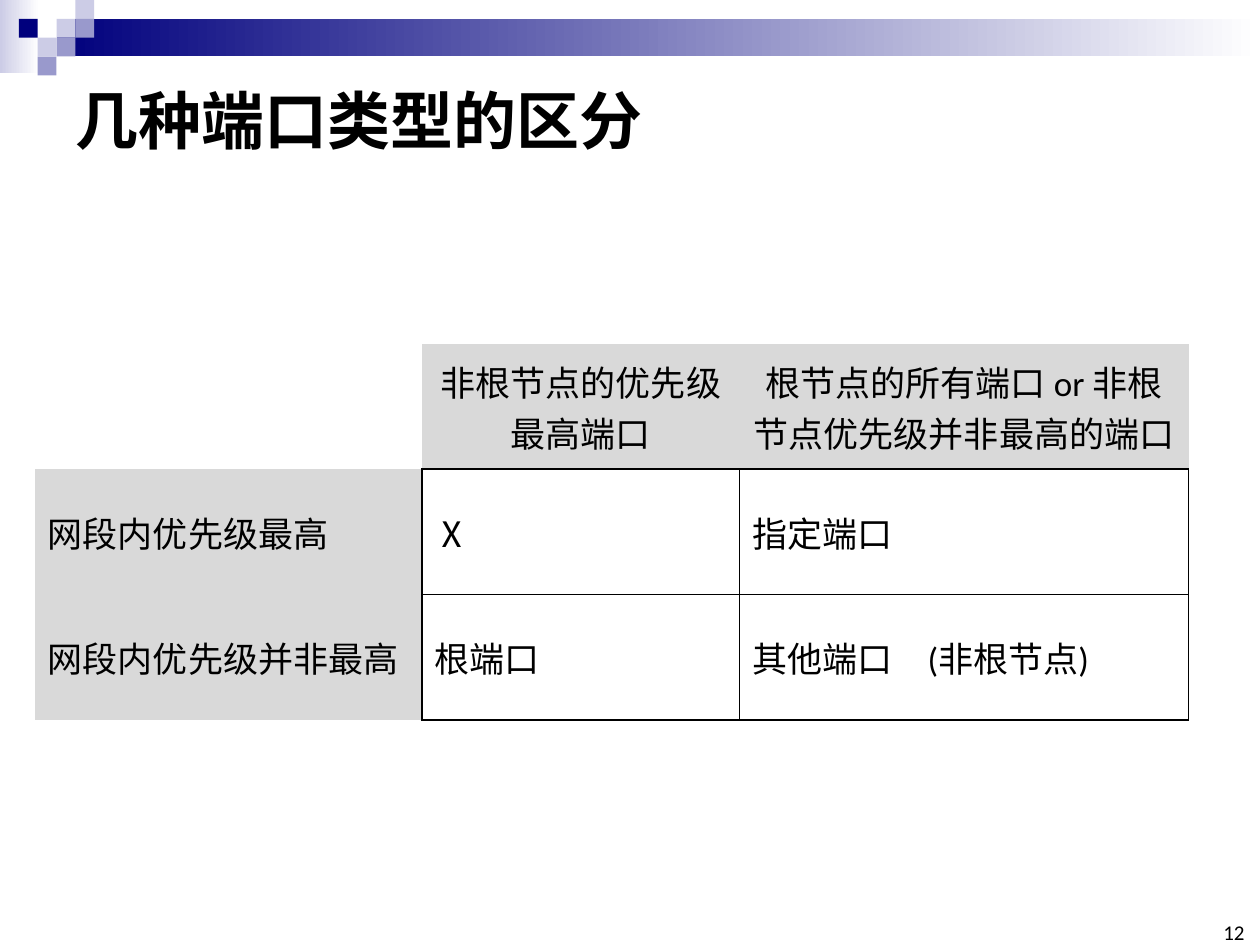
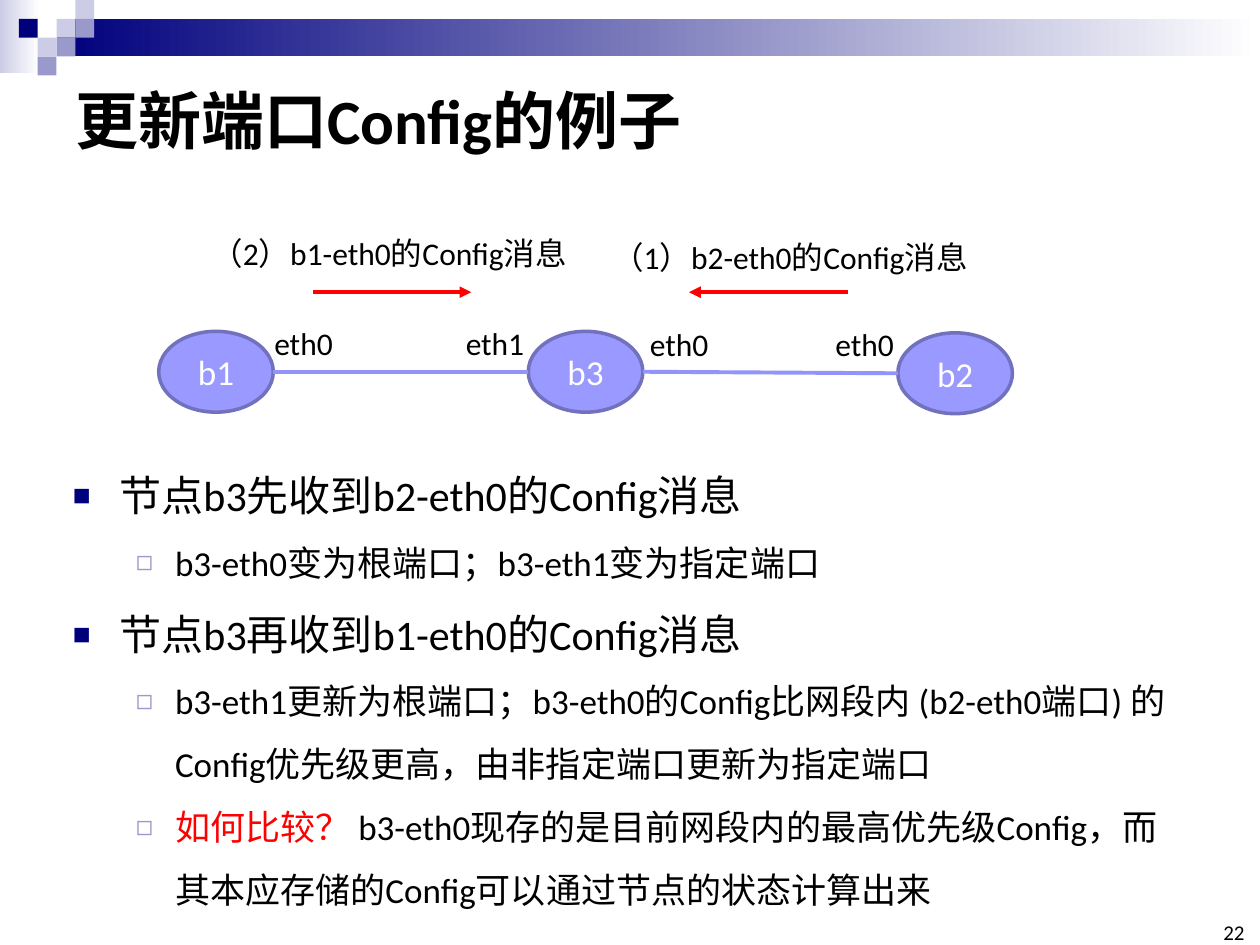
from dataclasses import dataclass
from itertools import pairwise
from typing import NamedTuple

from lxml.etree import SubElement
from pptx import Presentation
from pptx.dml.color import RGBColor
from pptx.enum.shapes import MSO_CONNECTOR, MSO_SHAPE
from pptx.enum.text import MSO_ANCHOR, PP_ALIGN
from pptx.oxml import parse_xml
from pptx.oxml.ns import nsdecls, qn
from pptx.util import Cm, Pt


@dataclass(frozen=True)
class Theme:
    font: str = "Calibri"
    east_asian_font: str = "Noto Sans CJK SC"
    black: str = "000000"
    white: str = "FFFFFF"
    red: str = "FF0000"
    navy: str = "00007D"
    lilac: str = "9999CC"
    pale: str = "CCCCE6"
    grey: str = "D9D9D9"
    node: str = "9999FF"
    node_edge: str = "7171BD"
    link: str = "9393FC"
    title: int = 36
    heading: int = 24
    text: int = 20
    label: int = 18
    footer: int = 12


THEME = Theme()


class Area(NamedTuple):
    left: float
    top: float
    width: float
    height: float

    def lengths(self) -> tuple:
        return tuple(Cm(value) for value in self)


class Span(NamedTuple):
    text: str
    color: str = THEME.black


class Bullet(NamedTuple):
    level: int
    spans: list


class BulletStyle(NamedTuple):
    mark: str
    color: str
    scale: int
    margin: float
    hanging: float
    size: int


class Node(NamedTuple):
    name: str
    area: Area


class Label(NamedTuple):
    text: str
    left: float
    top: float
    width: float


class Line(NamedTuple):
    start: tuple
    end: tuple
    color: str
    arrow: bool = False


BAND_UNIT = 0.38
BAND_SQUARES = [
    (3, 1, THEME.pale), (4, 0, THEME.pale), (4, 1, THEME.lilac),
    (2, 2, THEME.pale), (1, 1, THEME.navy), (3, 2, THEME.lilac),
    (2, 3, THEME.lilac),
]
BAND_FADES = [
    (Area(0, 0, 0.79, 1.47), THEME.pale),
    (Area(1.14, 0.38, 24.26, 0.76), THEME.navy),
]

PORT_TABLE = [
    ["", "非根节点的优先级最高端口", "根节点的所有端口 or 非根节点优先级并非最高的端口"],
    ["网段内优先级最高", "Ⅹ", "指定端口"],
    ["网段内优先级并非最高", "根端口", "其他端口　(非根节点)"],
]
COLUMN_WIDTHS = [7.8, 6.4, 9.05]
ROW_HEIGHT = 2.53

BULLET_STYLES = [
    BulletStyle("■", THEME.navy, 45, 0.94, 0.94, THEME.heading),
    BulletStyle("◻", THEME.lilac, 80, 2.06, 0.79, THEME.text),
]
BULLETS = [
    Bullet(0, [Span("节点b3先收到b2-eth0的Config消息")]),
    Bullet(1, [Span("b3-eth0变为根端口；b3-eth1变为指定端口")]),
    Bullet(0, [Span("节点b3再收到b1-eth0的Config消息")]),
    Bullet(1, [Span("b3-eth1更新为根端口；b3-eth0的Config比网段内 (b2-eth0端口) "
                    "的Config优先级更高，由非指定端口更新为指定端口")]),
    Bullet(1, [Span("如何比较？ ", THEME.red),
               Span("b3-eth0现存的是目前网段内的最高优先级Config，"
                    "而其本应存储的Config可以通过节点的状态计算出来")]),
]

NODE_STEP = 7.45
NODES = [
    Node(name, Area(3.2 + index * NODE_STEP, top, 2.31, 1.63))
    for index, (name, top) in enumerate([("b1", 6.68), ("b3", 6.68), ("b2", 6.71)])
]
LABELS = [
    Label("eth0", 5.28, 6.4, 1.7),
    Label("eth1", 9.14, 6.4, 1.7),
    Label("eth0", 12.85, 6.43, 1.7),
    Label("eth0", 16.59, 6.43, 1.7),
    Label("（1）b2-eth0的Config消息", 12.09, 4.67, 7.75),
    Label("（2）b1-eth0的Config消息", 4.01, 4.6, 7.75),
]
ARROWS = [
    Line((17.09, 5.89), (13.89, 5.89), THEME.red, True),
    Line((6.3, 5.89), (9.5, 5.89), THEME.red, True),
]


def rgb(color: str) -> RGBColor:
    return RGBColor.from_string(color)


def add_span(para, span: Span, size: int, bold: bool = False,
             font: str = THEME.font, east_asian: str = THEME.font) -> None:
    run = para.add_run()
    run.text = span.text
    run.font.name = font
    run.font.size = Pt(size)
    run.font.bold = bold
    run.font.color.rgb = rgb(span.color)
    SubElement(run.font._element, qn("a:ea")).set("typeface", east_asian)


def add_box(page, area: Area, anchor=MSO_ANCHOR.TOP):
    frame = page.shapes.add_textbox(*area.lengths()).text_frame
    frame.word_wrap = True
    frame.vertical_anchor = anchor
    return frame


def add_plain_shape(page, kind, area: Area):
    shape = page.shapes.add_shape(kind, *area.lengths())
    shape.shadow.inherit = False
    shape.line.fill.background()
    return shape


def add_band(page) -> None:
    for area, color in BAND_FADES:
        fill = add_plain_shape(page, MSO_SHAPE.RECTANGLE, area).fill
        fill.gradient()
        fill.gradient_angle = 0
        for stop, stop_color in zip(fill.gradient_stops, (color, THEME.white)):
            stop.color.rgb = rgb(stop_color)
    for column, row, color in BAND_SQUARES:
        area = Area(column * BAND_UNIT, row * BAND_UNIT, BAND_UNIT, BAND_UNIT)
        fill = add_plain_shape(page, MSO_SHAPE.RECTANGLE, area).fill
        fill.solid()
        fill.fore_color.rgb = rgb(color)


def add_page(deck, title: str, number: int):
    page = deck.slides.add_slide(deck.slide_layouts[6])
    add_band(page)
    frame = add_box(page, Area(1.27, 1.27, 22.86, 2.26), MSO_ANCHOR.MIDDLE)
    add_span(frame.paragraphs[0], Span(title), THEME.title, bold=True)
    footer = add_box(page, Area(24.51, 18.62, 0.58, 0.43), MSO_ANCHOR.BOTTOM)
    footer.margin_left = footer.margin_right = 0
    footer.margin_top = footer.margin_bottom = 0
    footer.paragraphs[0].alignment = PP_ALIGN.RIGHT
    add_span(footer.paragraphs[0], Span(str(number)), THEME.footer)
    return page


def set_borders(cell, sides: str) -> None:
    properties = cell._tc.get_or_add_tcPr()
    for index, side in enumerate(sides):
        properties.insert(index, parse_xml(
            f'<a:ln{side} {nsdecls("a")} w="12700"><a:solidFill>'
            f'<a:srgbClr val="{THEME.black}"/></a:solidFill></a:ln{side}>'))


def add_port_table(page) -> None:
    area = Area(0.71, 6.93, sum(COLUMN_WIDTHS), ROW_HEIGHT * len(PORT_TABLE))
    table = page.shapes.add_table(
        len(PORT_TABLE), len(COLUMN_WIDTHS), *area.lengths()).table
    table.first_row = table.horz_banding = False
    style = table._tbl.tblPr.find(qn("a:tableStyleId"))
    style.text = "{2D5ABB26-0587-4C30-8999-92F81FD0307C}"
    for column, width in zip(table.columns, COLUMN_WIDTHS):
        column.width = Cm(width)
    for row_index, row in enumerate(PORT_TABLE):
        table.rows[row_index].height = Cm(ROW_HEIGHT)
        for column_index, text in enumerate(row):
            cell = table.cell(row_index, column_index)
            if not text:
                cell.fill.background()
                continue
            is_top, is_side = row_index == 0, column_index == 0
            cell.vertical_anchor = MSO_ANCHOR.MIDDLE
            cell.fill.solid()
            cell.fill.fore_color.rgb = rgb(
                THEME.grey if is_top or is_side else THEME.white)
            set_borders(cell, "B" if is_top else "R" if is_side else "LRTB")
            para = cell.text_frame.paragraphs[0]
            para.alignment = PP_ALIGN.CENTER if is_top else PP_ALIGN.LEFT
            font = THEME.east_asian_font if text == "Ⅹ" else THEME.font
            add_span(para, Span(text), THEME.text, font=font,
                     east_asian=THEME.east_asian_font)


def add_bullets(page) -> None:
    frame = add_box(page, Area(1.22, 8.84, 22.86, 9.78))
    for index, bullet in enumerate(BULLETS):
        para = frame.add_paragraph() if index else frame.paragraphs[0]
        style = BULLET_STYLES[bullet.level]
        para.level = bullet.level
        para.line_spacing = 1.5
        properties = para._p.get_or_add_pPr()
        properties.set("marL", str(Cm(style.margin)))
        properties.set("indent", str(-Cm(style.hanging)))
        color = SubElement(properties, qn("a:buClr"))
        SubElement(color, qn("a:srgbClr")).set("val", style.color)
        SubElement(properties, qn("a:buSzPct")).set("val", str(style.scale * 1000))
        SubElement(properties, qn("a:buFont")).set("typeface", THEME.font)
        SubElement(properties, qn("a:buChar")).set("char", style.mark)
        for span in bullet.spans:
            add_span(para, span, style.size)


def add_node(page, node: Node) -> None:
    shape = add_plain_shape(page, MSO_SHAPE.OVAL, node.area)
    shape.fill.solid()
    shape.fill.fore_color.rgb = rgb(THEME.node)
    shape.line.color.rgb = rgb(THEME.node_edge)
    shape.line.width = Pt(2)
    shape.text_frame.vertical_anchor = MSO_ANCHOR.MIDDLE
    para = shape.text_frame.paragraphs[0]
    para.alignment = PP_ALIGN.CENTER
    add_span(para, Span(node.name, THEME.white), THEME.text)


def add_line(page, line: Line) -> None:
    ends = [Cm(value) for value in (*line.start, *line.end)]
    connector = page.shapes.add_connector(MSO_CONNECTOR.STRAIGHT, *ends)
    connector.line.color.rgb = rgb(line.color)
    connector.line.width = Pt(2.25)
    if line.arrow:
        outline = connector.line._get_or_add_ln()
        SubElement(outline, qn("a:tailEnd")).set("type", "triangle")
    SubElement(connector._element.spPr, qn("a:effectLst"))


def add_network(page) -> None:
    for node in NODES:
        add_node(page, node)
    for first, second in pairwise(node.area for node in NODES):
        start = (first.left + first.width, first.top + first.height / 2)
        end = (second.left, second.top + second.height / 2)
        add_line(page, Line(start, end, THEME.link))
    for arrow in ARROWS:
        add_line(page, arrow)
    for label in LABELS:
        frame = add_box(page, Area(label.left, label.top, label.width, 1.02))
        add_span(frame.paragraphs[0], Span(label.text), THEME.label)


def main() -> None:
    deck = Presentation()
    deck.slide_width, deck.slide_height = Cm(25.4), Cm(19.05)
    add_port_table(add_page(deck, "几种端口类型的区分", 12))
    example = add_page(deck, "更新端口Config的例子", 22)
    add_bullets(example)
    add_network(example)
    deck.save("out.pptx")


if __name__ == "__main__":
    main()
